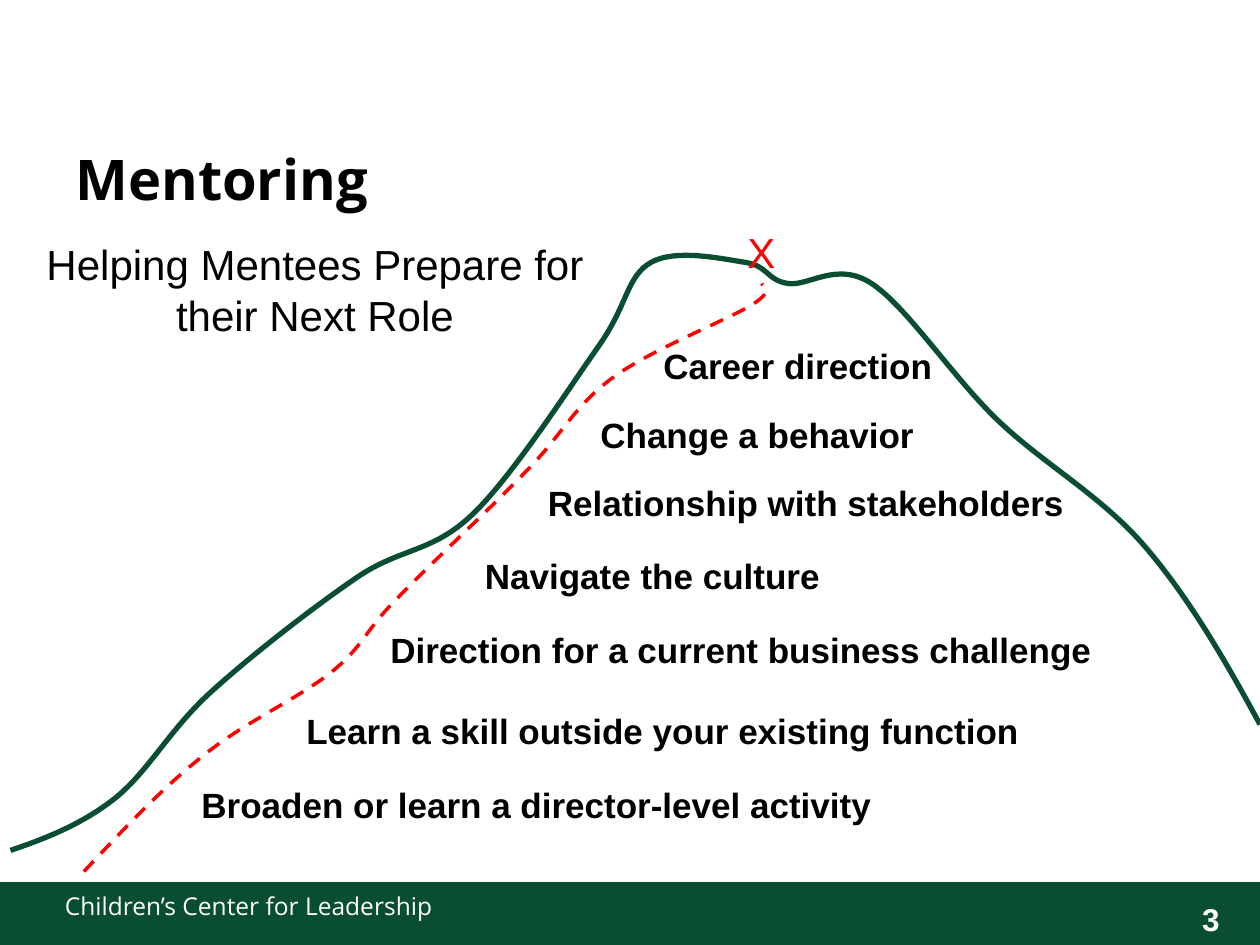
from lxml import etree
from pptx import Presentation
from pptx.dml.color import RGBColor
from pptx.enum.dml import MSO_LINE
from pptx.enum.shapes import MSO_SHAPE
from pptx.enum.text import MSO_ANCHOR, PP_ALIGN
from pptx.oxml.ns import qn
from pptx.util import Pt

GREEN = RGBColor(0x0A, 0x4E, 0x31)
RED = RGBColor(0xFF, 0, 0)
BLACK = RGBColor(0, 0, 0)
WHITE = RGBColor(0xFF, 0xFF, 0xFF)

prs = Presentation()
prs.slide_width, prs.slide_height = Pt(720), Pt(540)
slide = prs.slides.add_slide(prs.slide_layouts[6])
shapes = slide.shapes


def add_text(text, left, top, width, height, size, color=BLACK, bold=False,
             font="Arial", align=PP_ALIGN.LEFT, anchor=MSO_ANCHOR.TOP):
    box = shapes.add_textbox(Pt(left), Pt(top), Pt(width), Pt(height))
    frame = box.text_frame
    frame.word_wrap = True
    frame.vertical_anchor = anchor
    paragraph = frame.paragraphs[0]
    paragraph.alignment = align
    run = paragraph.add_run()
    run.text = text
    run.font.name = font
    run.font.size = Pt(size)
    run.font.bold = bold
    run.font.color.rgb = color
    return paragraph


def add_curve(points, color, width):
    start, *rest = [(Pt(x), Pt(y)) for x, y in points]
    builder = shapes.build_freeform(*start)
    builder.add_line_segments(rest, close=False)
    curve = builder.convert_to_shape()
    curve.shadow.inherit = False
    curve.fill.background()
    curve.line.color.rgb = color
    curve.line.width = Pt(width)
    path = next(curve._element.iter(qn("a:path")))
    segments = path.findall(qn("a:lnTo"))
    for i in range(0, len(segments), 3):
        bezier = etree.SubElement(path, qn("a:cubicBezTo"))
        for segment in segments[i:i + 3]:
            bezier.append(segment[0])
            path.remove(segment)
    return curve


footer_bar = shapes.add_shape(MSO_SHAPE.RECTANGLE, Pt(0), Pt(504), Pt(720), Pt(39.6))
footer_bar.shadow.inherit = False
footer_bar.fill.solid()
footer_bar.fill.fore_color.rgb = GREEN
footer_bar.line.fill.background()

add_text("3", 664, 511, 56, 29, 18, WHITE, True, align=PP_ALIGN.CENTER)
add_text("Children’s Center for Leadership", 30, 505.5, 569, 36, 14, WHITE, font="Open Sans")
add_text("Mentoring", 36, 66, 384.5, 72, 32, bold=True, font="Open Sans",
         anchor=MSO_ANCHOR.MIDDLE)
add_text("Helping Mentees Prepare for their Next Role", 18, 133, 324, 65, 24,
         align=PP_ALIGN.CENTER)

mountain = [
    (6, 486), (26.5, 479), (47, 471), (66, 456),
    (85, 440.5), (97, 417), (120, 396),
    (143, 375), (179, 347), (204, 330),
    (229, 313), (247, 316), (270, 294),
    (293, 272), (325, 222), (342, 198),
    (359, 174), (358, 158), (372, 150),
    (386, 142), (413, 148), (426, 150),
    (439, 152), (438, 160), (450, 162),
    (462, 164), (478, 149), (498, 162),
    (518, 175), (544, 215), (570, 240),
    (596, 265), (629, 283), (654, 312),
    (679, 341), (700, 377), (720, 414),
]
trail = [
    (48, 498), (70, 474.5), (92, 451), (116, 432),
    (139, 413), (171, 399), (189.5, 384),
    (208, 369), (208, 361), (227, 342),
    (245, 323), (280, 291), (300, 270),
    (321, 249), (328, 232), (350, 216),
    (371.5, 200), (415.5, 183), (430, 174),
    (444, 165), (435, 164), (435.5, 162),
]
add_curve(mountain, GREEN, 3)
add_curve(trail, RED, 2).line.dash_style = MSO_LINE.DASH
add_text("X", 420, 126, 30, 36, 24, RED)

plain_steps = [
    ("Broaden or learn a director-level activity", 108, 444, 474),
    ("Learn a skill outside your existing function", 168, 402, 462),
    ("Change a behavior", 336, 232.5, 258),
]
indented_steps = [
    ("Direction for a current business challenge", 180, 360, 570),
    ("Navigate the culture", 234, 318, 360),
    ("Relationship with stakeholders", 270, 276, 432),
    ("Career direction", 336, 198, 246),
]
for text, left, top, width in plain_steps:
    add_text(text, left, top, width, 31, 20, bold=True)
for text, left, top, width in indented_steps:
    step = add_text(text, left, top, width, 26.5, 20, bold=True)
    step.line_spacing = 0.8
    step._p.get_or_add_pPr().set("marL", str(Pt(36)))

prs.save("out.pptx")
